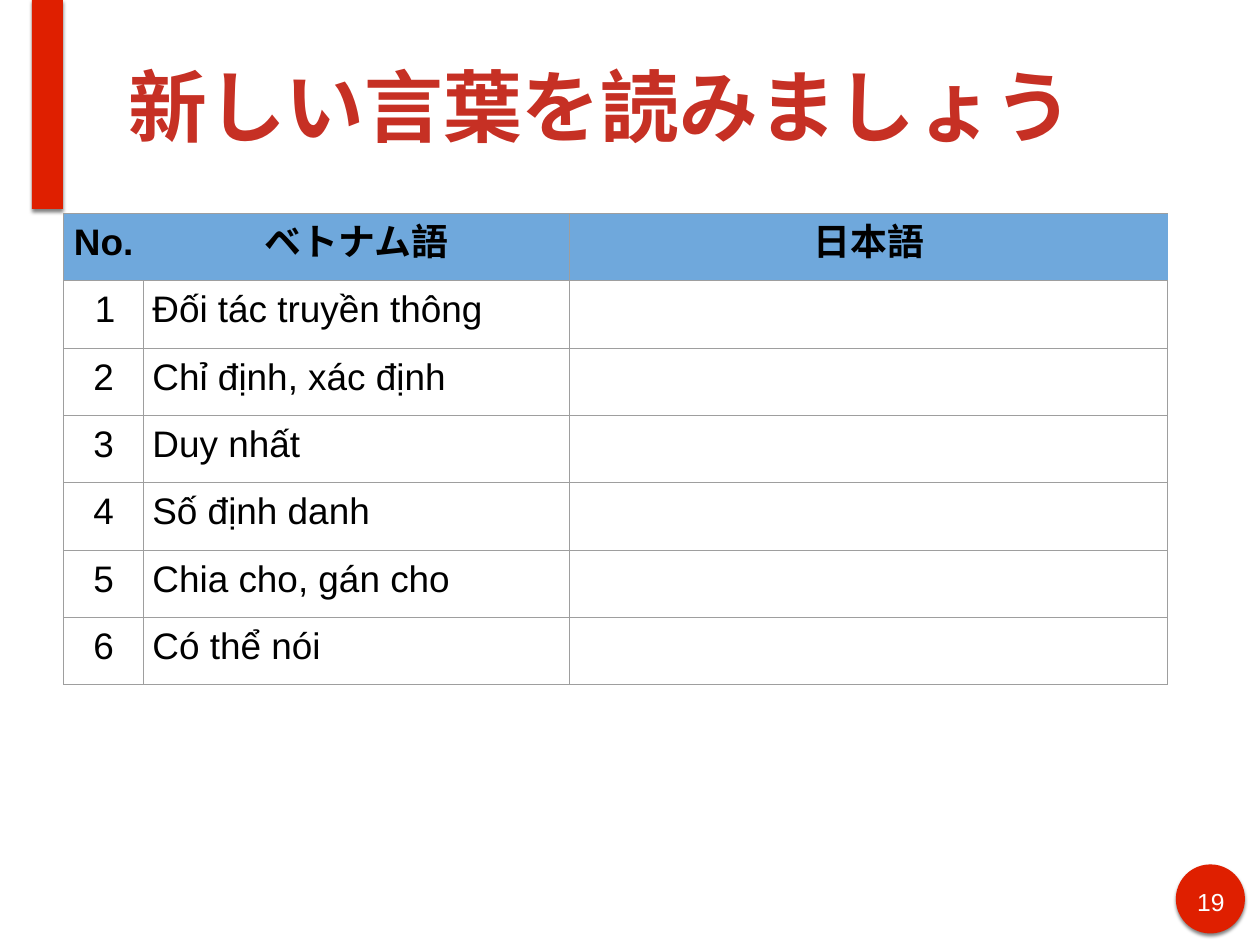
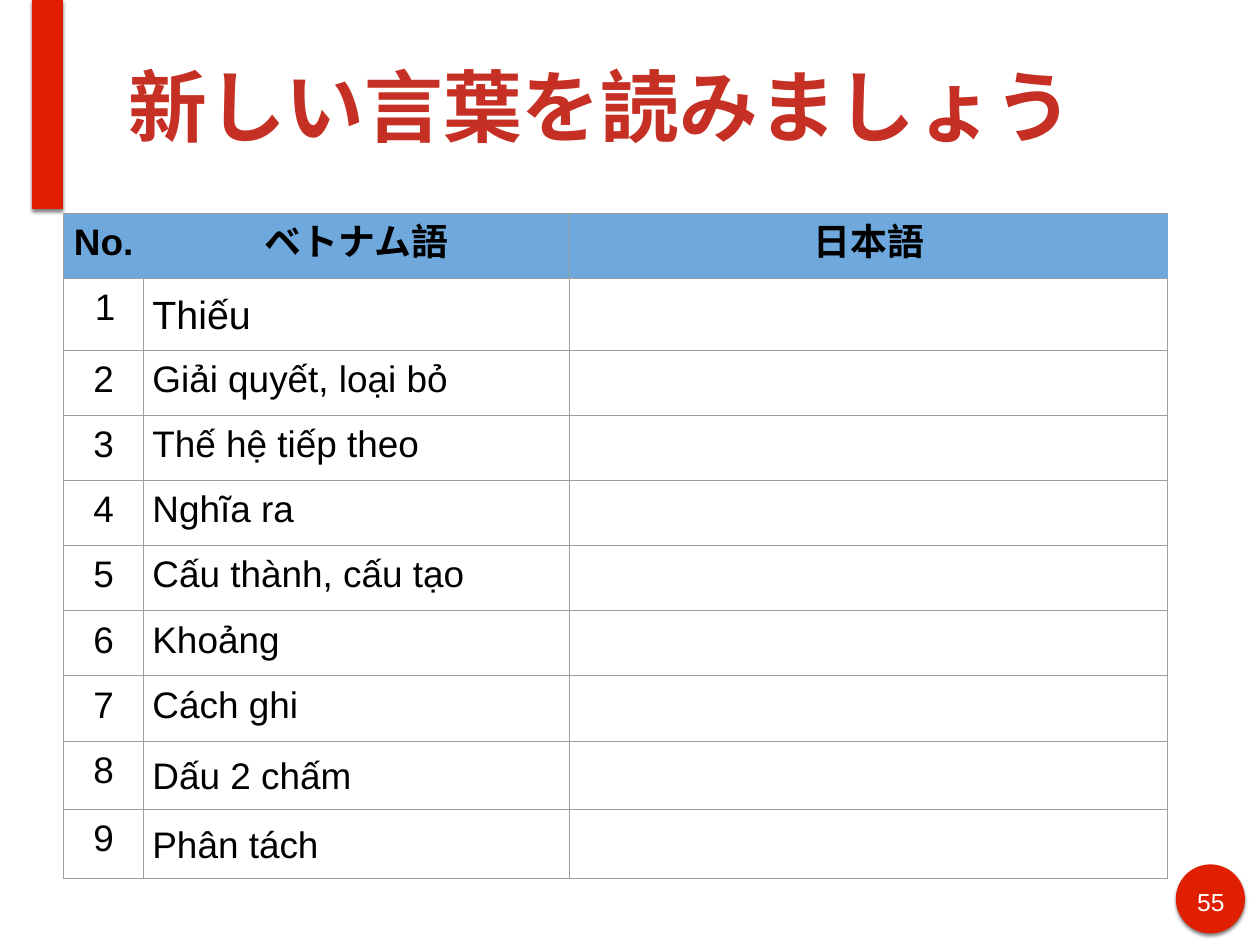
from lxml import etree
from pptx import Presentation
from pptx.dml.color import RGBColor
from pptx.enum import shapes, text
from pptx.oxml import ns
from pptx.util import Inches, Pt

RED = RGBColor(0xDF, 0x1F, 0x00)
TITLE_RED = RGBColor(0xC6, 0x30, 0x24)
HEADER_BLUE = RGBColor(0x6F, 0xA8, 0xDC)
GREY = RGBColor(0x9E, 0x9E, 0x9E)
BLACK = RGBColor(0, 0, 0)
WHITE = RGBColor(0xFF, 0xFF, 0xFF)

FONT = "Arial"
TITLE = "新しい言葉を読みましょう"
HEADERS = ("No.", "ベトナム語", "日本語")
COLUMN_WIDTHS = (0.9, 4.81, 6.75)
LOOSE = {"line_spacing": 1.15}

# Page number, row height, then each word with any format of its own
PAGES = (
    (19, 0.76, (
        ("Đối tác truyền thông", {}),
        ("Chỉ định, xác định", {}),
        ("Duy nhất", {}),
        ("Số định danh", {}),
        ("Chia cho, gán cho", {}),
        ("Có thể nói", {}),
    )),
    (55, 0.735, (
        ("Thiếu", {"size": 32, **LOOSE}),
        ("Giải quyết, loại bỏ", {}),
        ("Thế hệ tiếp theo", {}),
        ("Nghĩa ra", {}),
        ("Cấu thành, cấu tạo", {}),
        ("Khoảng", {}),
        ("Cách ghi", {}),
        ("Dấu 2 chấm", LOOSE),
        ("Phân tách", LOOSE),
    )),
)


def add_xml(parent, tag, **attributes):
    return etree.SubElement(parent, ns.qn(tag), attributes)


def write(frame, content, size=30, color=BLACK, bold=False, centered=False,
          line_spacing=None, hanging=False):
    """Write one formatted paragraph into a text frame."""
    paragraph = frame.paragraphs[0]
    paragraph.alignment = (text.PP_ALIGN.CENTER if centered
                           else text.PP_ALIGN.LEFT)
    if line_spacing:
        paragraph.line_spacing = line_spacing
    if hanging:
        properties = paragraph._p.get_or_add_pPr()
        properties.set("marL", str(Inches(0.5)))
        properties.set("indent", str(Inches(-0.25)))
    run = paragraph.add_run()
    run.text = content
    font = run.font
    font.name, font.size, font.bold = FONT, Pt(size), bold
    font.color.rgb = color
    add_xml(run._r.get_or_add_rPr(), "a:ea", typeface=FONT)


def add_text(slide, content, left, top, width, height,
             anchor=text.MSO_ANCHOR.TOP, **style):
    box = slide.shapes.add_textbox(
        Inches(left), Inches(top), Inches(width), Inches(height))
    frame = box.text_frame
    frame.word_wrap = True
    frame.vertical_anchor = anchor
    frame.margin_left = frame.margin_right = Inches(0.06)
    frame.margin_top = frame.margin_bottom = Inches(0.06)
    write(frame, content, **style)


def add_red_shape(slide, kind, left, top, width, height):
    """Add a red shape with a soft shadow below it."""
    shape = slide.shapes.add_shape(
        kind, Inches(left), Inches(top), Inches(width), Inches(height))
    shape.fill.solid()
    shape.fill.fore_color.rgb = RED
    shape.line.fill.background()
    shape.shadow.inherit = False
    effects = shape._element.spPr.find(ns.qn("a:effectLst"))
    shadow = add_xml(effects, "a:outerShdw", blurRad=str(Pt(3)),
                     dist=str(Pt(2)), dir="5400000", rotWithShape="0")
    color = add_xml(shadow, "a:srgbClr", val=str(BLACK))
    add_xml(color, "a:alpha", val="50000")


def add_frame(slide, number):
    """Page number badge, side band and title."""
    left, top = 13.27, 9.76
    add_red_shape(slide, shapes.MSO_SHAPE.OVAL, left, top, 0.78, 0.78)
    add_red_shape(slide, shapes.MSO_SHAPE.RECTANGLE, 0.36, 0, 0.35, 2.36)
    add_text(slide, str(number), left + 0.15, top + 0.19, 0.49, 0.39,
             size=20, color=WHITE, centered=True)
    add_text(slide, TITLE, 1.39, 0.12, 12.14, 2.12,
             anchor=text.MSO_ANCHOR.MIDDLE, size=64, color=TITLE_RED,
             bold=True)


def format_cell(cell, fill=None, open_sides=""):
    """Set margins, borders and fill; open_sides have no border."""
    cell.margin_left = cell.margin_right = Inches(0.1)
    cell.margin_top = cell.margin_bottom = Inches(0.1)
    properties = cell._tc.get_or_add_tcPr()
    for side in "LRTB":
        line = add_xml(properties, f"a:ln{side}", w=str(Pt(0.75)))
        if side in open_sides:
            add_xml(line, "a:noFill")
        else:
            color = add_xml(line, "a:solidFill")
            add_xml(color, "a:srgbClr", val=str(GREY))
    if fill is None:
        cell.fill.background()
    else:
        cell.fill.solid()
        cell.fill.fore_color.rgb = fill


def add_word_table(slide, words, left, top, row_height):
    count = len(words) + 1
    table = slide.shapes.add_table(
        count, len(HEADERS), Inches(left), Inches(top),
        Inches(sum(COLUMN_WIDTHS)), Inches(row_height * count)).table
    table.first_row = table.horz_banding = False
    for column, width in zip(table.columns, COLUMN_WIDTHS):
        column.width = Inches(width)
    for row in table.rows:
        row.height = Inches(row_height)

    # Header row, with no line between the first two cells
    for index, (header, sides) in enumerate(zip(HEADERS, ("R", "L", "R"))):
        cell = table.cell(0, index)
        format_cell(cell, HEADER_BLUE, sides)
        write(cell.text_frame, header, bold=True, centered=True)

    # Numbered words; the last column is left for the answer
    for number, (word, style) in enumerate(words, 1):
        number_cell, word_cell, answer_cell = table.rows[number].cells
        for cell in (number_cell, word_cell, answer_cell):
            format_cell(cell)
        first = number == 1
        write(number_cell.text_frame, str(number), centered=not first,
              hanging=first)
        write(word_cell.text_frame, word, **style)


def main():
    presentation = Presentation()
    presentation.slide_width = Inches(14.22)
    presentation.slide_height = Inches(10.67)
    for number, row_height, words in PAGES:
        slide = presentation.slides.add_slide(presentation.slide_layouts[6])
        add_frame(slide, number)
        add_word_table(slide, words, 0.72, 2.41, row_height)
    presentation.save("out.pptx")


if __name__ == "__main__":
    main()
